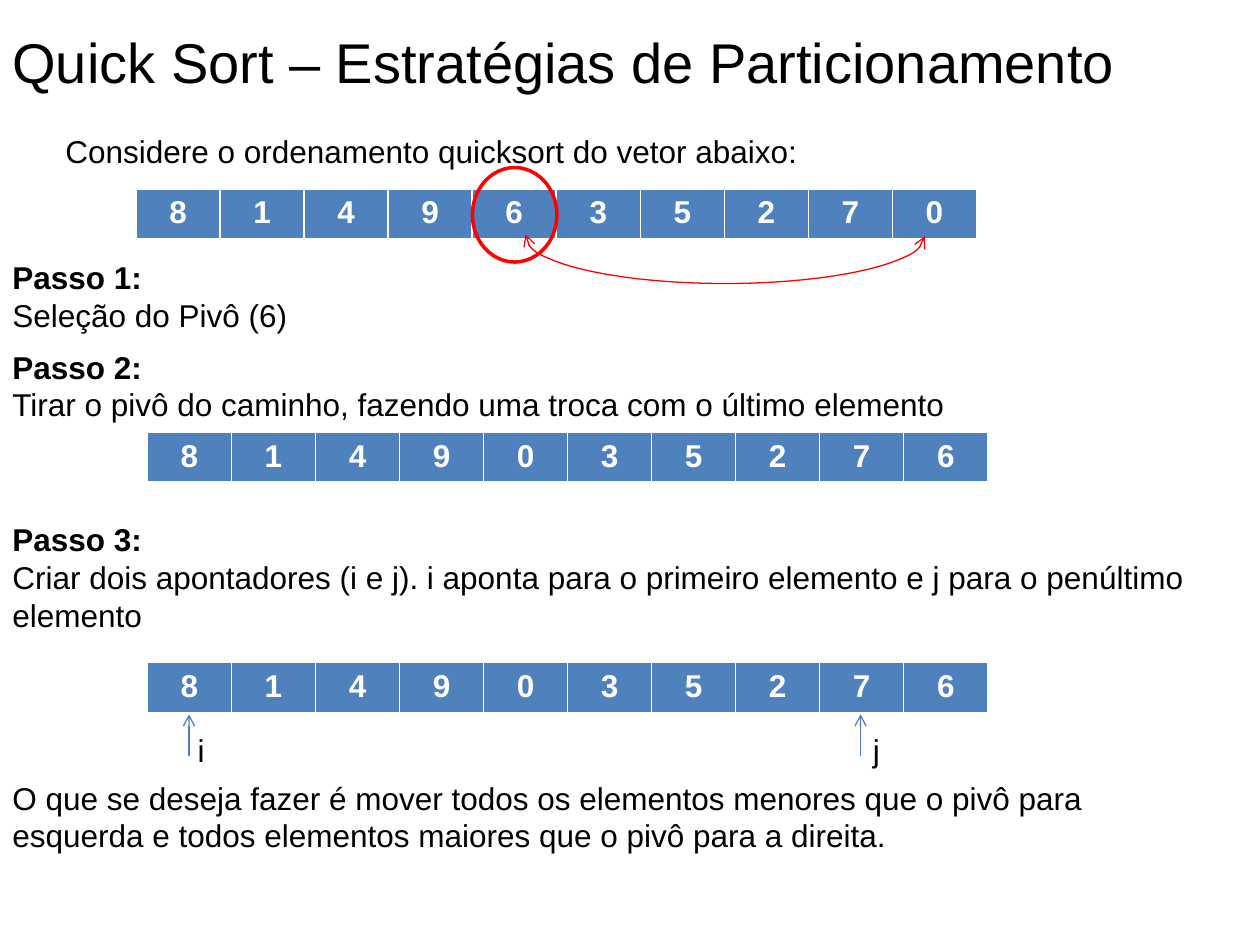
from pptx import Presentation
from pptx.dml.color import RGBColor
from pptx.enum.shapes import MSO_CONNECTOR, MSO_SHAPE
from pptx.enum.text import MSO_AUTO_SIZE, PP_ALIGN
from pptx.oxml.ns import qn
from pptx.util import Inches, Pt
from lxml.etree import SubElement


def rgb(value):
    """Turn a hex string into a colour."""
    return RGBColor.from_string(value)


class SlideBuilder:
    """Hold the style and the current slide."""

    font, size = "Arial", 18
    black, white, blue, arrow_blue, red = "000000", "FFFFFF", "4F81BD", "4B7EBC", "FF0000"

    def __init__(self, slide):
        """Keep the slide to draw on."""
        self.shapes = slide.shapes

    def style(self, p, color, size=None, bold=False):
        """Set the font of a paragraph."""
        p.font.name = self.font
        p.font.size = Pt(size or self.size)
        p.font.bold = bold
        p.font.color.rgb = rgb(color)

    def text(self, box, *lines, heading=None, size=None, wrap=True):
        """Add a text box with an optional bold heading."""
        tf = self.shapes.add_textbox(*map(Inches, box)).text_frame
        tf.word_wrap = wrap
        tf.auto_size = MSO_AUTO_SIZE.SHAPE_TO_FIT_TEXT
        paragraphs = ([heading] if heading else []) + list(lines)
        tf.text = "\n".join(paragraphs)
        for i, p in enumerate(tf.paragraphs):
            self.style(p, self.black, size, bold=bool(heading) and i == 0)

    def array(self, left, top, values):
        """Add a one-row table with one cell per value."""
        box = map(Inches, (left, top, 6.67, 0.41))
        table = self.shapes.add_table(1, len(values), *box).table
        for cell, value in zip(table.rows[0].cells, values):
            cell.text = str(value)
            p = cell.text_frame.paragraphs[0]
            p.alignment = PP_ALIGN.CENTER
            self.style(p, self.white, bold=True)
            tc_pr = cell._tc.get_or_add_tcPr()
            for side, width in (("L", 1), ("R", 1), ("T", 1), ("B", 3)):
                ln = SubElement(tc_pr, qn(f"a:ln{side}"), w=str(Pt(width)))
                fill = SubElement(ln, qn("a:solidFill"))
                SubElement(fill, qn("a:srgbClr"), val=self.white)
            cell.fill.solid()
            cell.fill.fore_color.rgb = rgb(self.blue)

    def line(self, sp, color, width, *ends):
        """Set the outline and arrowheads of a shape."""
        sp.line.color.rgb = rgb(color)
        sp.line.width = Pt(width)
        ln = sp.line._get_or_add_ln()
        for end in ends:
            SubElement(ln, qn(f"a:{end}"), type="arrow")

    def arrow(self, *points):
        """Add a straight arrow."""
        sp = self.shapes.add_connector(MSO_CONNECTOR.STRAIGHT, *map(Inches, points))
        self.line(sp, self.arrow_blue, 0.75, "tailEnd")
        SubElement(sp._element.spPr, qn("a:effectLst"))

    def outline(self, kind, box, width, *ends):
        """Add an unfilled red shape."""
        sp = self.shapes.add_shape(kind, *map(Inches, box))
        sp.shadow.inherit = False
        sp.fill.background()
        self.line(sp, self.red, width, *ends)
        return sp

    def swap_arc(self, box):
        """Add a double-headed arc along the lower half of a box."""
        sp = self.outline(MSO_SHAPE.ARC, box, 0.75, "headEnd", "tailEnd")
        sp.adjustments[0] = 107.68
        sp.adjustments[1] = 0
        sp._element.spPr.find(qn("a:xfrm")).set("flipV", "1")


prs = Presentation()
prs.slide_width, prs.slide_height = Inches(10), Inches(7.5)
s = SlideBuilder(prs.slides.add_slide(prs.slide_layouts[6]))

vector = [8, 1, 4, 9, 6, 3, 5, 2, 7, 0]
swapped = [8, 1, 4, 9, 0, 3, 5, 2, 7, 6]

s.text((0, 0.17, 9.14, 0.64), "Quick Sort – Estratégias de Particionamento ", size=32, wrap=False)
s.text((0.42, 1, 9.58, 0.4), "Considere o ordenamento quicksort do vetor abaixo: ")
s.array(1.08, 1.5, vector)

steps = [
    (2, 9.58, 0.71, "Seleção do Pivô (6)"),
    (2.71, 9.58, 0.71, "Tirar o pivô do caminho, fazendo uma troca com o último elemento"),
    (4.08, 9.67, 1.01, "Criar dois apontadores (i e j). i aponta para o primeiro elemento "
                       "e j para o penúltimo elemento"),
]
for number, (top, width, height, body) in enumerate(steps, 1):
    s.text((0, top, width, height), body, heading=f"Passo {number}:")

for top in (3.43, 5.26):
    s.array(1.17, top, swapped)

for name, x, left in (("i", 1.5, 1.47), ("j", 6.83, 6.83)):
    s.arrow(x, 6, x, 5.67)
    s.text((left, 5.75, 0.26, 0.4), name, wrap=False)

s.text((0, 6.13, 9.67, 0.71), "O que se deseja fazer é mover todos os elementos menores que o pivô "
       "para esquerda e todos elementos maiores que o pivô para a direita.")

s.outline(MSO_SHAPE.OVAL, (3.75, 1.33, 0.67, 0.75), 2)
s.swap_arc((4.17, 1.5, 3.17, 0.75))

prs.save("out.pptx")
